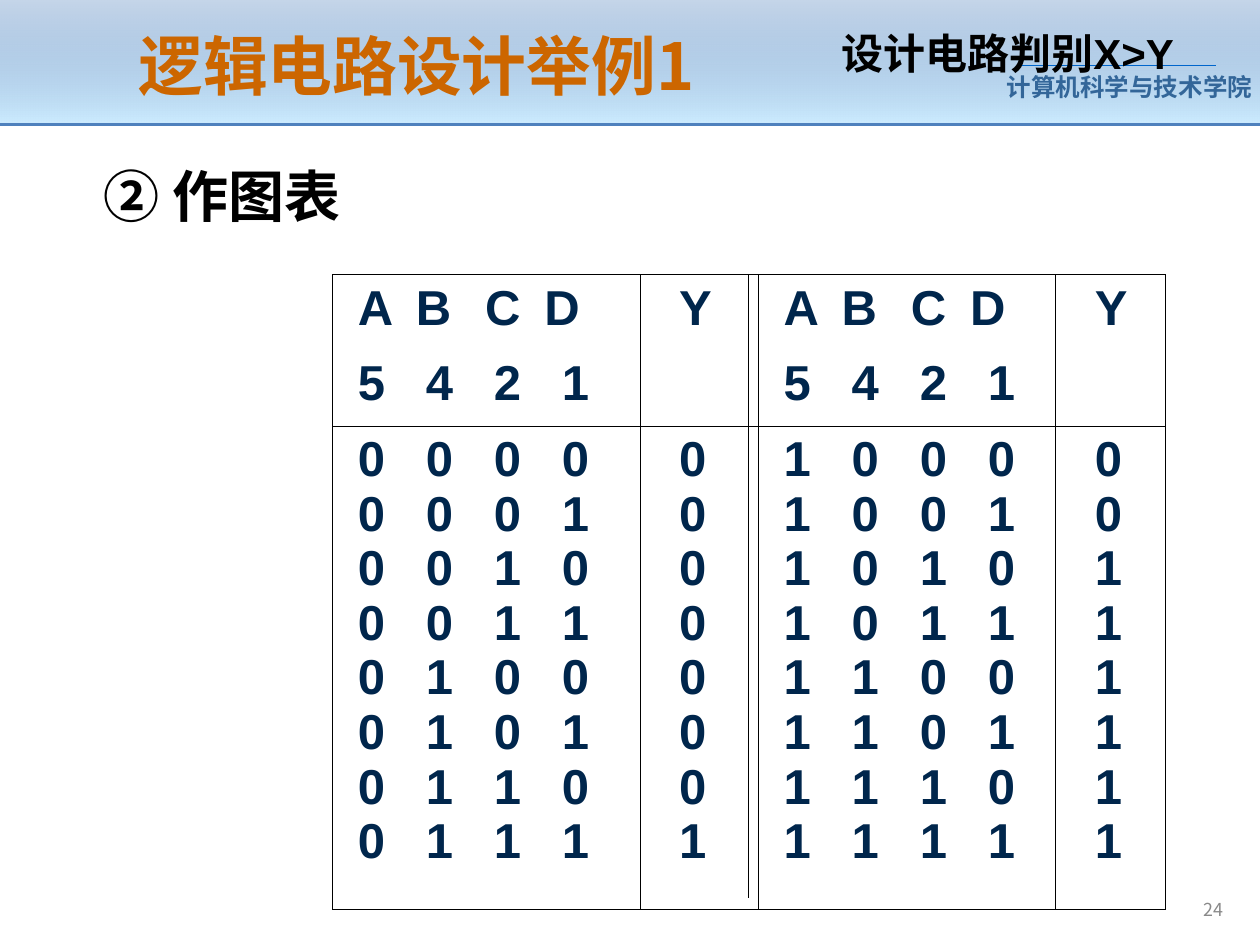
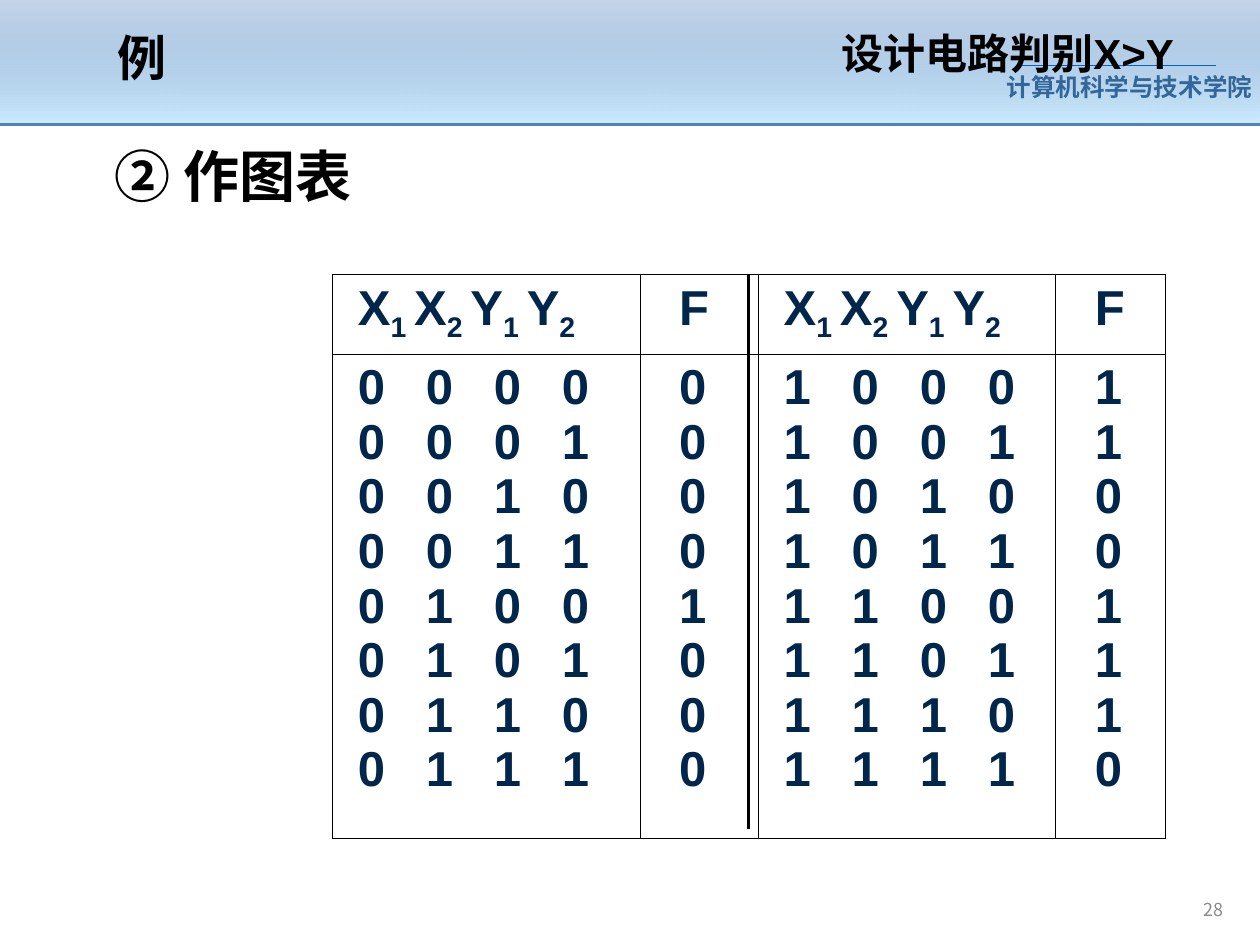
import itertools
from dataclasses import dataclass

import lxml.etree
import pptx
import pptx.dml.color
import pptx.enum.shapes
import pptx.enum.text
import pptx.oxml.ns
import pptx.util

Inches, Pt = pptx.util.Inches, pptx.util.Pt
ANCHOR, ALIGN = pptx.enum.text.MSO_ANCHOR, pptx.enum.text.PP_ALIGN
qn = pptx.oxml.ns.qn


@dataclass(frozen=True)
class Theme:
    latin: str = "Arial"
    cjk: str = "Noto Sans CJK SC"
    ink: str = "000000"
    accent: str = "CC6600"
    table_ink: str = "00264C"
    college: str = "336699"
    college_rule: str = "0066CC"
    band_top: str = "4F81BD"
    band_bottom: str = "CCECFF"
    number: str = "898989"
    title_size: float = 37
    heading_size: float = 32
    table_size: float = 28
    topic_size: float = 24
    college_size: float = 14
    number_size: float = 10.2


THEME = Theme()

COLLEGE = "计算机科学与技术学院"
TOPIC = "设计电路判别X>Y"
HEADING = "② 作图表"

# Tab stops in inches, measured from the text edge of a table cell
DIGIT_TABS = (0.54, 1.08, 1.62)
LETTER_TABS = (0.46, 1.01, 1.48)

SLIDES = [
    dict(
        title="逻辑电路设计举例1",
        title_box=(1, 0.13, 5.57, 0.77),
        title_format=dict(size=THEME.title_size, color=THEME.accent, font=THEME.cjk),
        heading_box=(0.72, 1.23, 4.86, 0.64),
        header=["A\tB\tC\tD", "5\t4\t2\t1"],
        header_tabs=[LETTER_TABS, DIGIT_TABS],
        subscripts=False,
        output="Y",
        values="0000000100111111",
        header_height=1.2,
        divider=(7.13, 1),
        number="24",
    ),
    dict(
        title="例",
        title_box=(0.83, 0.02, 2.77, 0.87),
        title_format=dict(size=THEME.table_size, color=THEME.ink),
        heading_box=(0.81, 1.07, 4.85, 0.64),
        header=["X1 X2 Y1 Y2"],
        header_tabs=[()],
        subscripts=True,
        output="F",
        values="0000100011001110",
        header_height=0.63,
        divider=(6.58, 2),
        number="28",
    ),
]

TABLE_LEFT, TABLE_TOP = 2.64, 2.18
COLUMN_WIDTHS = (2.44, 0.94, 2.36, 0.87)
BODY_HEIGHT = 3.84
DIVIDER_X = 5.94


def rgb(color):
    return pptx.dml.color.RGBColor.from_string(color)


def write_text(frame, lines, *, size, color, font=THEME.latin, bold=True, align=ALIGN.LEFT,
               anchor=ANCHOR.MIDDLE, gap=0, tabs=(), subscripts=False):
    """Fill a text frame; tabs holds one tuple of stops per line."""
    frame.word_wrap = True
    frame.vertical_anchor = anchor
    for index, (line, stops) in enumerate(itertools.zip_longest(lines, tabs, fillvalue=())):
        para = frame.add_paragraph() if index else frame.paragraphs[0]
        para.alignment = align
        para.space_before = Pt(gap if index else 0)
        properties = para._p.get_or_add_pPr()
        if stops:
            tab_list = lxml.etree.SubElement(properties, qn("a:tabLst"))
            for stop in stops:
                lxml.etree.SubElement(tab_list, qn("a:tab"), pos=str(Inches(stop)), algn="l")
        if subscripts:
            pieces = [(letters, "".join(group))
                      for letters, group in itertools.groupby(line, str.isalpha)]
        else:
            pieces = [(True, line)]
        for on_baseline, piece in pieces:
            span = para.add_run()
            span.text = piece
            span.font.size, span.font.bold = Pt(size), bold
            span.font.color.rgb = rgb(color)
            span.font.name = font
            run_properties = span._r.get_or_add_rPr()
            lxml.etree.SubElement(run_properties, qn("a:ea"), typeface=THEME.cjk)
            if not on_baseline:
                run_properties.set("baseline", "-25000")


def add_text(page, bounds, text, *, side_inset=0.1, **text_format):
    box = page.shapes.add_textbox(*map(Inches, bounds))
    box.text_frame.margin_left = box.text_frame.margin_right = Inches(side_inset)
    write_text(box.text_frame, [text], **text_format)
    return box


def fill_placeholder(holder, bounds, text, **text_format):
    holder.left, holder.top, holder.width, holder.height = map(Inches, bounds)
    write_text(holder.text_frame, [text], **text_format)
    holder.text_frame.auto_size = pptx.enum.text.MSO_AUTO_SIZE.NONE


def add_line(page, start, end, color, width):
    line = page.shapes.add_connector(
        pptx.enum.shapes.MSO_CONNECTOR.STRAIGHT, *map(Inches, start + end))
    line.line.color.rgb = rgb(color)
    line.line.width = Pt(width)
    lxml.etree.SubElement(line.element.spPr, qn("a:effectLst"))
    return line


def move_band_to_layout(page):
    """Draw the shared top band and hand it to the layout of the page."""
    band = page.shapes.add_shape(
        pptx.enum.shapes.MSO_SHAPE.RECTANGLE, 0, 0, Inches(10), Inches(0.99))
    band.shadow.inherit = False
    band.line.fill.background()
    band.fill.gradient()
    band.fill.gradient_angle = 270
    for stop, color in zip(band.fill.gradient_stops, (THEME.band_top, THEME.band_bottom)):
        stop.color.rgb = rgb(color)
    top_color = band.element.spPr.find(".//" + qn("a:srgbClr"))
    lxml.etree.SubElement(top_color, qn("a:alpha"), val="32000")
    parts = [
        band,
        add_text(page, (7.99, 0.52, 1.97, 0.34), COLLEGE, side_inset=0,
                 size=THEME.college_size, color=THEME.college),
        add_line(page, (8.07, 0.52), (9.65, 0.52), THEME.college_rule, 0.75),
        add_line(page, (0, 0.99), (10, 0.99), THEME.band_top, 1.5),
    ]
    for number, part in enumerate(parts, start=100):
        part.element.xpath(".//p:cNvPr")[0].set("id", str(number))
        page.slide_layout.shapes.element.append(part.element)


def add_borders(cell):
    properties = cell._tc.get_or_add_tcPr()
    for index, side in enumerate(("a:lnL", "a:lnR", "a:lnT", "a:lnB")):
        border = lxml.etree.Element(qn(side), w=str(Pt(0.45)))
        fill = lxml.etree.SubElement(border, qn("a:solidFill"))
        lxml.etree.SubElement(fill, qn("a:srgbClr"), val=THEME.ink)
        properties.insert(index, border)


def add_truth_table(page, content):
    heights = (content["header_height"], BODY_HEIGHT)
    table = page.shapes.add_table(
        2, 4, Inches(TABLE_LEFT), Inches(TABLE_TOP),
        Inches(sum(COLUMN_WIDTHS)), Inches(sum(heights))).table
    table.first_row = table.horz_banding = False
    for column, width in zip(table.columns, COLUMN_WIDTHS):
        column.width = Inches(width)
    for row, height in zip(table.rows, heights):
        row.height = Inches(height)

    inputs = ["\t".join(bits) for bits in itertools.product("01", repeat=4)]
    half = len(inputs) // 2
    for side, start in enumerate((0, half)):
        rows = slice(start, start + half)
        groups = [
            (0, 0, content["header"], content["header_tabs"]),
            (0, 1, [content["output"]], ()),
            (1, 0, inputs[rows], [DIGIT_TABS] * half),
            (1, 1, content["values"][rows], ()),
        ]
        for row, offset, lines, tabs in groups:
            cell = table.cell(row, 2 * side + offset)
            cell.fill.background()
            add_borders(cell)
            cell.margin_left = Inches(0.31 if offset else 0.2)
            write_text(cell.text_frame, lines, size=THEME.table_size, color=THEME.table_ink,
                       anchor=ANCHOR.TOP, gap=0 if row else 12, tabs=tabs,
                       subscripts=content["subscripts"] and row == 0)


def build_page(page, content):
    fill_placeholder(page.shapes.title, content["title_box"], content["title"],
                     **content["title_format"])
    body = page.placeholders[1]
    fill_placeholder(body, content["heading_box"], HEADING,
                     size=THEME.heading_size, color=THEME.ink, font=THEME.cjk)
    properties = body.text_frame.paragraphs[0]._p.get_or_add_pPr()
    properties.set("marL", "0")
    properties.set("indent", "0")
    lxml.etree.SubElement(properties, qn("a:buNone"))

    add_truth_table(page, content)
    bottom, width = content["divider"]
    add_line(page, (DIVIDER_X, TABLE_TOP), (DIVIDER_X, bottom), THEME.ink, width)
    add_text(page, (6.58, 0.17, 3, 0.5), TOPIC, size=THEME.topic_size, color=THEME.ink)
    add_text(page, (7.6, 7.06, 2.21, 0.32), content["number"], size=THEME.number_size,
             color=THEME.number, font=THEME.cjk, bold=False, align=ALIGN.RIGHT)


def main():
    deck = pptx.Presentation()
    deck.slide_width, deck.slide_height = Inches(10), Inches(7.5)
    pages = [deck.slides.add_slide(deck.slide_layouts[1]) for _ in SLIDES]
    move_band_to_layout(pages[0])
    for page, content in zip(pages, SLIDES):
        build_page(page, content)
    deck.save("out.pptx")


if __name__ == "__main__":
    main()
